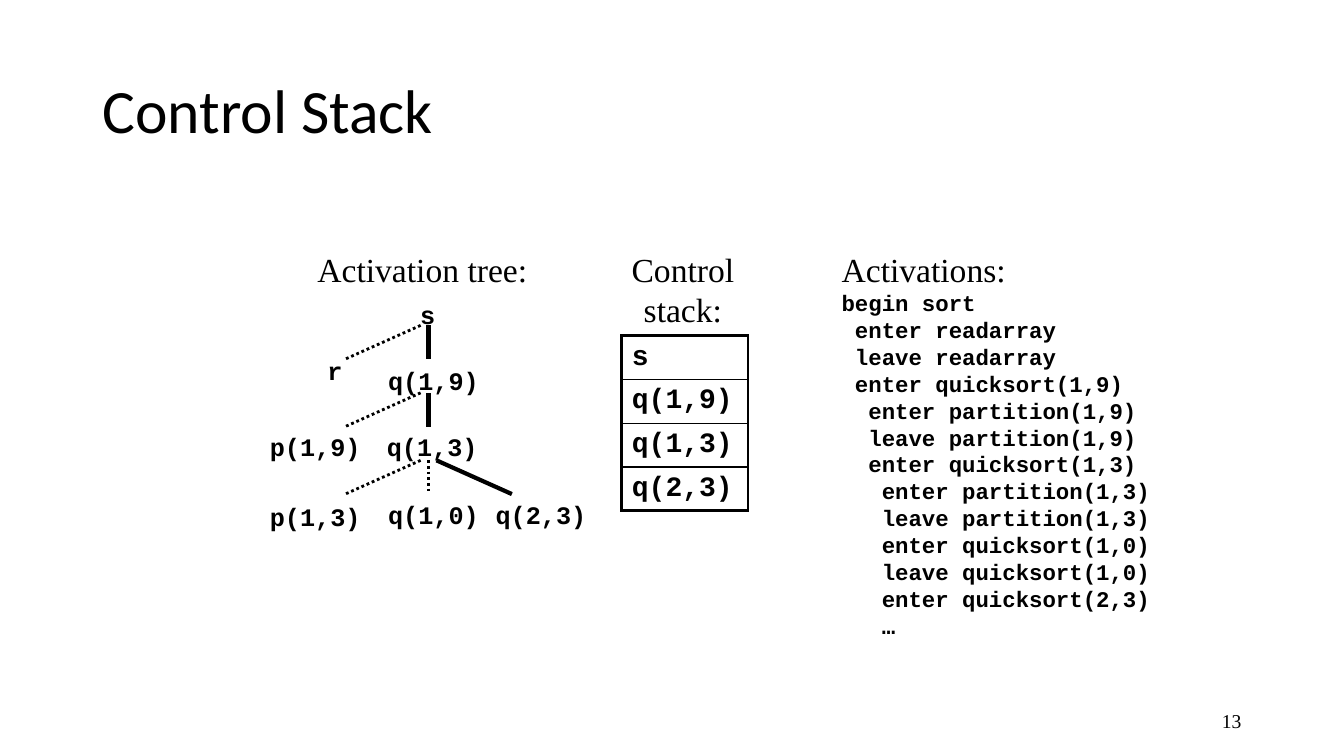
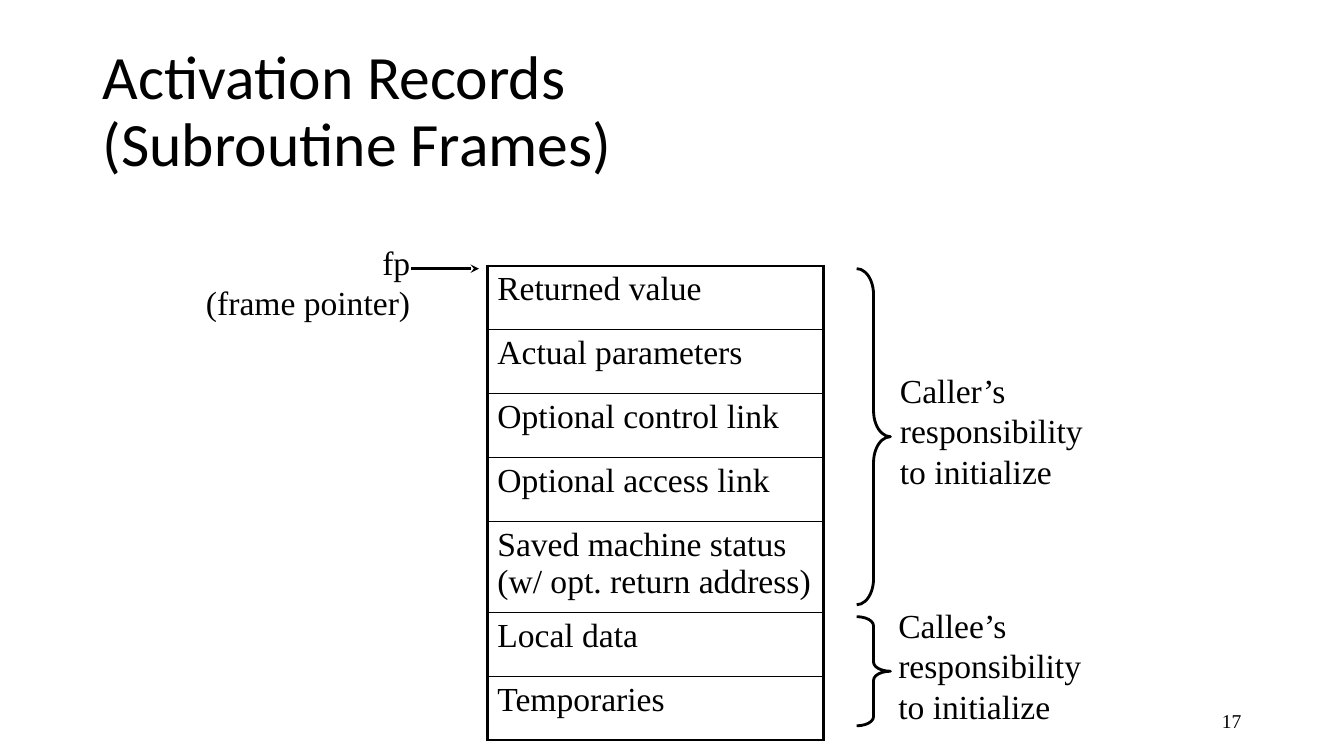
from lxml import etree
from pptx import Presentation
from pptx.dml.color import RGBColor
from pptx.enum.dml import MSO_LINE
from pptx.enum.shapes import MSO_CONNECTOR, MSO_SHAPE
from pptx.enum.text import MSO_ANCHOR, MSO_AUTO_SIZE, PP_ALIGN
from pptx.oxml.ns import qn
from pptx.util import Cm, Pt

BLACK = RGBColor(0, 0, 0)
TITLE = dict(name="Calibri", size=Pt(44), bold=False)
LABEL = dict(name="Times New Roman", size=Pt(24), bold=False)
NUMBER = dict(LABEL, size=Pt(14))
NODE = dict(name="Courier New", size=Pt(18), bold=True)
CODE = dict(NODE, size=Pt(16))
CELL = dict(NODE, size=Pt(20))
LEADING = 1.2

ACTIVATIONS = """begin sort
 enter readarray
 leave readarray
 enter quicksort(1,9)
  enter partition(1,9)
  leave partition(1,9)
  enter quicksort(1,3)
   enter partition(1,3)
   leave partition(1,3)
   enter quicksort(1,0)
   leave quicksort(1,0)
   enter quicksort(2,3)
   …"""


def set_all(obj, values):
    for name, value in values.items():
        setattr(obj, name, value)


def style(font, values):
    set_all(font, values)
    font.color.rgb = BLACK


class Deck:
    def __init__(self):
        self.prs = Presentation()
        set_all(self.prs, dict(slide_width=Cm(33.87), slide_height=Cm(19.05)))
        self.s = None

    def slide(self, title, number):
        self.s = self.prs.slides.add_slide(self.prs.slide_layouts[5])
        sp = self.s.shapes.title
        set_all(sp, dict(left=Cm(2.33), top=Cm(1.01), width=Cm(29.21), height=Cm(3.68)))
        tf = sp.text_frame
        tf.text = title
        set_all(tf, dict(vertical_anchor=MSO_ANCHOR.MIDDLE, auto_size=MSO_AUTO_SIZE.NONE))
        p = tf.paragraphs[0]
        set_all(p, dict(alignment=PP_ALIGN.LEFT, line_spacing=0.9))
        for r in p.runs:
            style(r.font, TITLE)
        tf = self.text(23.92, 17.66, 7.62, 1.01, [(number, NUMBER)], PP_ALIGN.RIGHT)
        set_all(tf, dict(vertical_anchor=MSO_ANCHOR.MIDDLE, word_wrap=True,
                         auto_size=MSO_AUTO_SIZE.NONE))

    def text(self, x, y, w, h, parts, align=PP_ALIGN.LEFT):
        tf = self.s.shapes.add_textbox(Cm(x), Cm(y), Cm(w), Cm(h)).text_frame
        set_all(tf, dict(word_wrap=False, auto_size=MSO_AUTO_SIZE.SHAPE_TO_FIT_TEXT))
        lines = [(line, font) for text, font in parts for line in text.split("\n")]
        for i, (line, font) in enumerate(lines):
            p = tf.add_paragraph() if i else tf.paragraphs[0]
            set_all(p, dict(alignment=align, line_spacing=Pt(LEADING * font["size"].pt)))
            r = p.add_run()
            r.text = line
            style(r.font, font)
        return tf

    def line(self, x1, y1, x2, y2, width=3, dash=None, head=None):
        cn = self.s.shapes.add_connector(MSO_CONNECTOR.STRAIGHT, Cm(x1), Cm(y1), Cm(x2), Cm(y2))
        cn.line.color.rgb = BLACK
        cn.line.width = Pt(width)
        if dash:
            cn.line.dash_style = dash
        ln = cn.get_or_add_ln()
        if head:
            etree.SubElement(ln, qn("a:tailEnd"), type=head)
        etree.SubElement(ln.getparent(), qn("a:effectLst"))

    def brace(self, x, y, w, h, curl):
        sp = self.s.shapes.add_shape(MSO_SHAPE.RIGHT_BRACE, Cm(x), Cm(y), Cm(w), Cm(h))
        sp.adjustments[0] = curl
        sp.shadow.inherit = False
        sp.fill.background()
        sp.line.color.rgb = BLACK
        sp.line.width = Pt(2)

    def border(self, cell, side, width):
        ln = etree.SubElement(cell._tc.get_or_add_tcPr(), qn(f"a:ln{side}"), w=str(Pt(width)))
        fill = etree.SubElement(ln, qn("a:solidFill"))
        etree.SubElement(fill, qn("a:srgbClr"), val=str(BLACK))

    def stack(self, x, y, w, rows, font, anchor):
        total = sum(h for _, h in rows)
        tbl = self.s.shapes.add_table(len(rows), 1, Cm(x), Cm(y), Cm(w), Cm(total)).table
        set_all(tbl, dict(first_row=False, horz_banding=False))
        for i, (text, h) in enumerate(rows):
            tbl.rows[i].height = Cm(h)
            cell = tbl.cell(i, 0)
            top = 1 if i else 2.25
            bottom = 1 if i < len(rows) - 1 else 2.25
            for side, width in zip("LRTB", (2.25, 2.25, top, bottom)):
                self.border(cell, side, width)
            cell.fill.background()
            cell.vertical_anchor = anchor
            cell.text = text
            style(cell.text_frame.paragraphs[0].runs[0].font, font)


def control_stack(deck):
    deck.slide("Control Stack", "13")
    nodes = [("s", 10.34, 7.42), ("r", 8, 8.84), ("q(1,9)", 9.53, 9.09),
             ("p(1,9)", 6.55, 10.74), ("q(1,3)", 9.5, 10.74),
             ("p(1,3)", 6.55, 12.5), ("q(1,0)", 9.53, 12.45), ("q(2,3)", 12.24, 12.45)]
    for name, x, y in nodes:
        deck.text(x, y, 0.89 if len(name) == 1 else 2.79, 1.02, [(name, NODE)])

    dotted = dict(width=2, dash=MSO_LINE.ROUND_DOT)
    levels, mid, reach, drop = 3, 10.8, 1.9, 0.85
    for level in range(levels):
        y = 8.2 + 1.7 * level
        last = level == levels - 1
        deck.line(mid - 0.2, y, mid - 0.2 - reach, y + drop, **dotted)
        deck.line(mid, y, mid, y + drop, **(dotted if last else {}))
        if last:
            deck.line(mid + 0.2, y, mid + 0.2 + reach, y + drop)

    top = 6.15
    deck.text(7.75, top, 5.79, 1.27, [("Activation tree:", LABEL)], PP_ALIGN.CENTER)
    deck.text(15.65, top, 3.12, 2.31, [("Control\nstack:", LABEL)], PP_ALIGN.CENTER)
    deck.text(20.96, top, 8.33, 10.11, [("Activations:", LABEL), (ACTIVATIONS, CODE)])
    calls = ("s", "q(1,9)", "q(1,3)", "q(2,3)")
    deck.stack(15.67, 8.46, 3.18, [(c, 1.1) for c in calls], CELL, MSO_ANCHOR.MIDDLE)


def activation_records(deck):
    deck.slide("Activation Records\v(Subroutine Frames)", "17")
    low, high = 1.61, 2.29
    fields = [("Returned value", low), ("Actual parameters", low),
              ("Optional control link", low), ("Optional access link", low),
              ("Saved machine status (w/ opt. return address)", high),
              ("Local data", low), ("Temporaries", low)]
    deck.stack(12.28, 6.7, 8.47, fields, LABEL, MSO_ANCHOR.TOP)
    for who, y, h, curl, x, text_y in (("Caller’s", 6.77, 8.47, 0.77, 22.43, 9.2),
                                       ("Callee’s", 15.54, 2.75, 0.27, 22.39, 15.12)):
        deck.brace(21.59, y, 0.85, h, curl)
        deck.text(x, text_y, 5.16, 3.33, [(f"{who}\nresponsibility\nto initialize", LABEL)])
    deck.text(4.87, 5.97, 5.72, 2.31, [("fp\n(frame pointer)", LABEL)], PP_ALIGN.RIGHT)
    deck.line(10.37, 6.77, 12.07, 6.77, width=2, head="stealth")


def main():
    deck = Deck()
    control_stack(deck)
    activation_records(deck)
    deck.prs.save("out.pptx")


if __name__ == "__main__":
    main()
